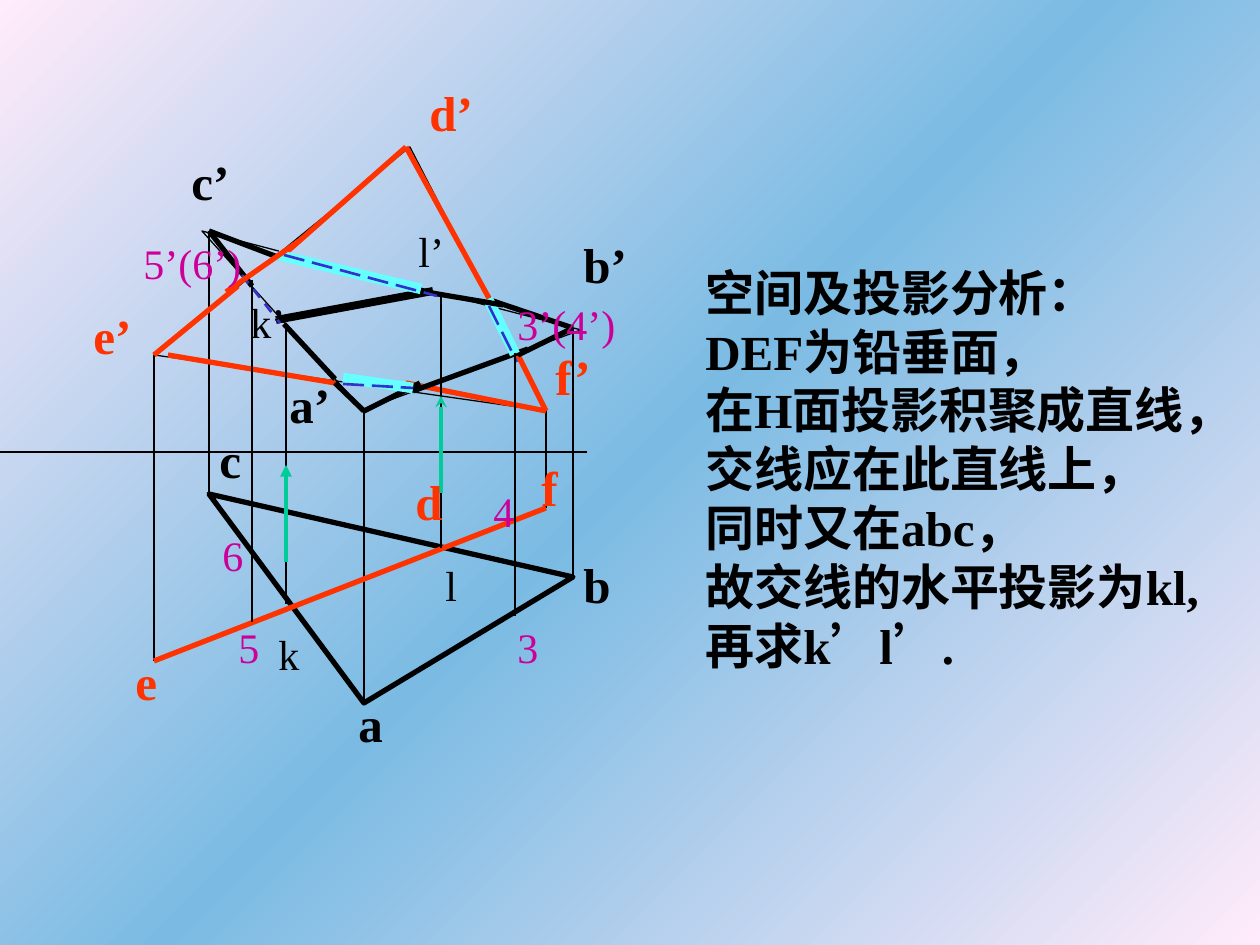
import pptx
import pptx.util
import pptx.dml.color
import pptx.enum.dml
import pptx.enum.shapes
import pptx.enum.text
import pptx.oxml
import pptx.oxml.ns

RGB = pptx.dml.color.RGBColor
BLACK = RGB(0x00, 0x00, 0x00)
RED = RGB(0xFF, 0x33, 0x00)
CYAN = RGB(0x66, 0xFF, 0xFF)
BLUE = RGB(0x33, 0x33, 0xCC)
GREEN = RGB(0x00, 0xCC, 0x99)
MAGENTA = RGB(0xCC, 0x00, 0x99)
PINK = RGB(0xFF, 0xEB, 0xFA)
SKY = RGB(0x7B, 0xBB, 0xE3)

EMU_PER_PX = 914400 / 126
FONT = "Times New Roman"
LABEL_HEIGHT = {28: 72, 24: 63}
DASH = pptx.enum.dml.MSO_LINE.DASH
LONG_DASH = pptx.enum.dml.MSO_LINE.LONG_DASH

# Vertices, relative to the diagram box: front view first, top view second
A1, B1, C1 = (364, 335), (573, 252), (209, 155)
D1, E1, F1 = (406, 71), (154, 279), (546, 335)
A, B, C = (364, 627), (573, 501), (209, 418)
E, F = (154, 585), (546, 432)

# Line styles: colour, width in points, dash, arrowhead
THIN = (BLACK, 0.75, None, None)
BLACK_EDGE = (BLACK, 3, None, None)
RED_EDGE = (RED, 3, None, None)
INTERSECTION = (BLACK, 4.5, None, None)
COVER = (CYAN, 6, None, None)
HIDDEN = (BLUE, 1.5, LONG_DASH, None)
HIDDEN_SHORT = (BLUE, 1.5, DASH, None)
ARROW = (GREEN, 2.25, None, "triangle")
STEALTH_ARROW = (GREEN, 2.25, None, "stealth")

LINES = [
    (THIN, [((0, 376), (587, 376)), (A1, A), (B1, B), (C1, C), (E1, E), (F1, F)]),
    (RED_EDGE, [
        (F, E), ((238, 210), E1), ((168, 279), (335, 307)), ((406, 307), F1),
        (D1, (490, 224)), ((518, 279), F1), (D1, (280, 182))]),
    (BLACK_EDGE, [
        (C1, (252, 210)), (C1, (280, 182)), (A1, (420, 307)),
        ((490, 224), B1), ((518, 279), B1), (A1, (335, 307))]),
    (INTERSECTION, [((276, 244), (433, 215))]),
    (THIN, [((286, 528), (286, 249)), ((441, 472), (441, 221))]),
    (ARROW, [((286, 486), (286, 389))]),
    (STEALTH_ARROW, [((441, 417), (441, 320))]),
    (BLACK_EDGE, [((284, 248), (335, 303)), ((413, 315), (528, 273))]),
    (HIDDEN_SHORT, [((242, 199), (280, 247))]),
    (COVER, [((488, 223), (515, 278))]),
    (BLACK_EDGE, [((420, 215), (503, 229))]),
    (COVER, [((278, 179), (421, 213)), ((343, 302), (413, 312))]),
    (HIDDEN, [((284, 179), (437, 220)), ((489, 230), (517, 286)),
              ((343, 308), (413, 312))]),
    (RED_EDGE, [((226, 216), (299, 165))]),
    (THIN, [((515, 277), (515, 540)), ((252, 204), (252, 546))]),
]

# Labels by size, colour and weight: text, left, top, width
LABELS = [
    (28, BLACK, True, [
        ("a", 346, 611, 52), ("b", 571, 472, 54), ("c", 207, 347, 50),
        ("a’", 277, 292, 72), ("b’", 571, 152, 74), ("c’", 179, 69, 70)]),
    (28, RED, True, [
        ("d", 403, 389, 54), ("e", 123, 569, 50), ("f", 529, 375, 46),
        ("d’", 417, 0, 74), ("e’", 81, 223, 70), ("f’", 543, 264, 66)]),
    (24, BLACK, False, [
        ("k", 266, 546, 48), ("l", 433, 477, 40),
        ("k’", 238, 214, 66), ("l’", 406, 143, 58)]),
    (24, MAGENTA, False, [
        ("3", 505, 539, 48), ("4", 481, 403, 48), ("3’(4’)", 505, 216, 132),
        ("5", 226, 539, 48), ("6", 210, 447, 48), ("5’(6’)", 131, 155, 132)]),
]

ANALYSIS = [
    "空间及投影分析：",
    "DEF为铅垂面，",
    "在H面投影积聚成直线，",
    "交线应在此直线上，",
    "同时又在abc，",
    "故交线的水平投影为kl,",
    "再求k’l’.",
]


def px(length):
    return pptx.util.Emu(round(length * EMU_PER_PX))


def paint_background(slide):
    fill = slide.background.fill
    fill.gradient()
    fill.gradient_angle = 135
    stops = fill._fill._gradFill.find(pptx.oxml.ns.qn("a:gsLst"))
    for stop in list(stops):
        stops.remove(stop)
    for position, color in ((0, PINK), (50, SKY), (100, PINK)):
        stops.append(pptx.oxml.parse_xml(
            f'<a:gs {pptx.oxml.ns.nsdecls("a")} pos="{position * 1000}">'
            f'<a:srgbClr val="{color}"/></a:gs>'))


def draw_line(slide, box, start, end, style):
    color, width, dash, head = style
    left, top = box[:2]
    edge = slide.shapes.add_connector(
        pptx.enum.shapes.MSO_CONNECTOR.STRAIGHT,
        px(left + start[0]), px(top + start[1]), px(left + end[0]), px(top + end[1]))
    edge.line.color.rgb = color
    edge.line.width = pptx.util.Pt(width)
    if dash is not None:
        edge.line.dash_style = dash
    if head:
        tail = pptx.oxml.parse_xml(
            f'<a:tailEnd {pptx.oxml.ns.nsdecls("a")} type="{head}"/>')
        edge.line._get_or_add_ln().append(tail)
    edge._element.spPr.append(
        pptx.oxml.parse_xml(f'<a:effectLst {pptx.oxml.ns.nsdecls("a")}/>'))


def draw_triangle(slide, box, corners, width):
    points = [(px(box[0] + x), px(box[1] + y)) for x, y in corners]
    builder = slide.shapes.build_freeform(*points[0], scale=1.0)
    builder.add_line_segments(points[1:], close=True)
    triangle = builder.convert_to_shape()
    triangle.shadow.inherit = False
    triangle.fill.background()
    triangle.line.color.rgb = BLACK
    triangle.line.width = pptx.util.Pt(width)


def write_text(slide, box, lines, size, color, bold):
    frame = slide.shapes.add_textbox(*map(px, box)).text_frame
    frame.word_wrap = False
    frame.text = "\n".join(lines)
    font_values = {"name": FONT, "size": pptx.util.Pt(size), "bold": bold}
    for paragraph in frame.paragraphs:
        for run in paragraph.runs:
            for attribute, value in font_values.items():
                setattr(run.font, attribute, value)
            run.font.color.rgb = color


def draw_projections(slide, box):
    """Draw both views of the two intersecting triangles with their labels."""
    draw_triangle(slide, box, [(202, 155), (363, 334), (581, 254)], 0.75)
    draw_triangle(slide, box, [E1, F1, (410, 71)], 0.75)
    draw_triangle(slide, box, [A, B, C], 3)
    for style, segments in LINES:
        for start, end in segments:
            draw_line(slide, box, start, end, style)
    for size, color, bold, labels in LABELS:
        for name, left, top, width in labels:
            place = (box[0] + left, box[1] + top, width, LABEL_HEIGHT[size])
            write_text(slide, place, [name], size, color, bold)


def main():
    deck = pptx.Presentation()
    deck.slide_width, deck.slide_height = px(1260), px(945)
    slide = deck.slides.add_slide(deck.slide_layouts[6])
    paint_background(slide)
    draw_projections(slide, (0, 76, 640, 690))
    write_text(slide, (693, 256, 576, 425), ANALYSIS, 28, BLACK, True)
    deck.save("out.pptx")


if __name__ == "__main__":
    main()
